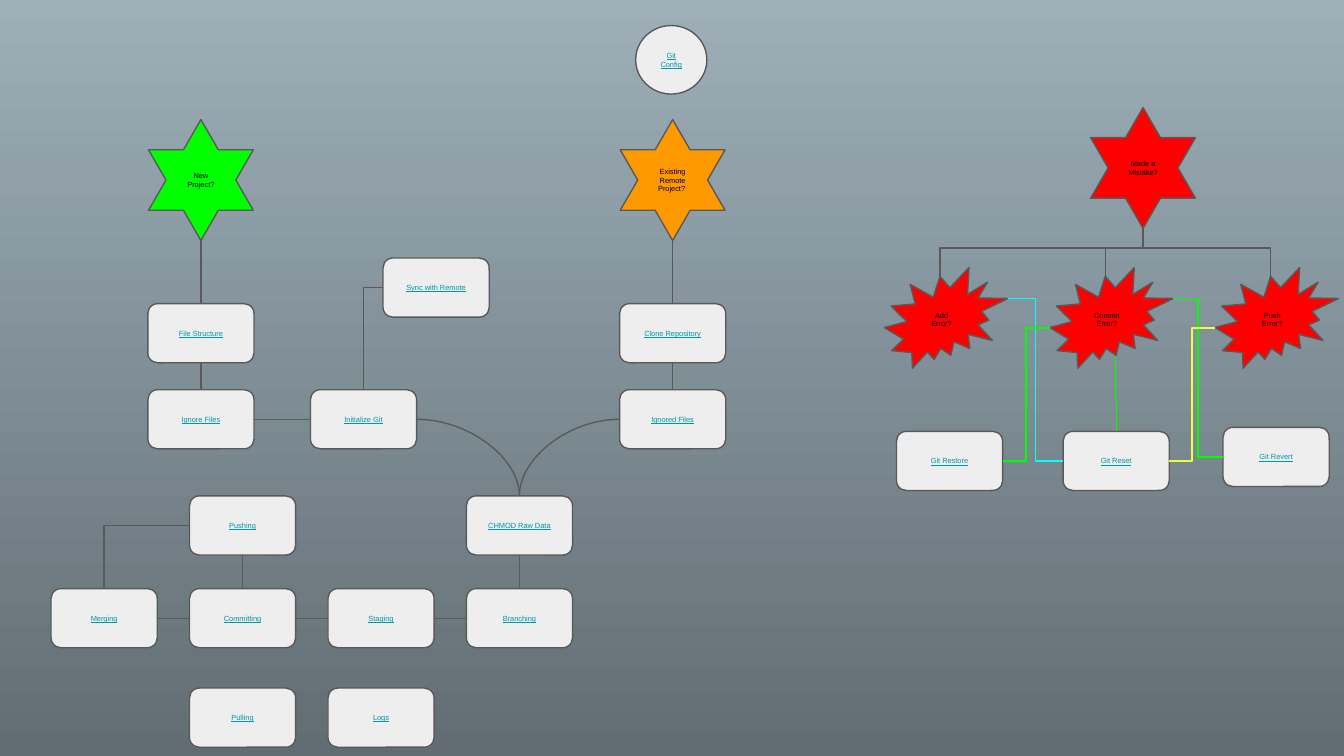
from lxml.etree import SubElement
from pptx import Presentation
from pptx.dml.color import RGBColor
from pptx.enum.shapes import MSO_CONNECTOR, MSO_SHAPE as SHAPE
from pptx.enum.text import MSO_ANCHOR, PP_ALIGN
from pptx.oxml.ns import qn
from pptx.util import Inches, Pt

BOX_W, BOX_H, STAR_W, STAR_H = 0.79, 0.44, 0.78, 0.9
GRAY, PALE, TEAL, BLACK = "595959", "EEEEEE", "0097A7", "000000"
GREEN, ORANGE, RED, YELLOW, CYAN = "00FF00", "FF9900", "FF0000", "EEFF41", "00FFFF"


def rgb(value):
    """Turn a hex string into a colour."""
    return RGBColor.from_string(value)


def node(slide, kind, box, label, fill=PALE, color=BLACK, underline=False):
    """Draw one labelled shape and return its box."""
    shape = slide.shapes.add_shape(kind, *map(Inches, box))
    shape.shadow.inherit = False
    shape.fill.solid()
    shape.fill.fore_color.rgb = rgb(fill)
    shape.line.color.rgb = rgb(GRAY)
    shape.line.width = Pt(0.75)
    frame = shape.text_frame
    frame.word_wrap = True
    frame.vertical_anchor = MSO_ANCHOR.MIDDLE
    frame.margin_left = frame.margin_right = Inches(0.1)
    frame.margin_top = frame.margin_bottom = Inches(0.1)
    paragraph = frame.paragraphs[0]
    paragraph.alignment = PP_ALIGN.CENTER
    run = paragraph.add_run()
    run.text = label
    run.font.name, run.font.size = "Arial", Pt(4)
    run.font.color.rgb = rgb(color)
    if underline:
        run.font.underline = True
    return box


def step(slide, left, top, label):
    """Draw a rounded step box."""
    return node(slide, SHAPE.ROUNDED_RECTANGLE, (left, top, BOX_W, BOX_H),
                label, color=TEAL, underline=True)


def star(slide, left, top, label, fill):
    """Draw a six-pointed question star, centred over a step box."""
    inset = (BOX_W - STAR_W) / 2
    return node(slide, SHAPE.STAR_6_POINT, (left + inset, top, STAR_W, STAR_H),
                label, fill)


def at(box, across, down):
    """Return the point at the given fractions of a box."""
    left, top, width, height = box
    return left + across * width, top + down * height


def top_of(box):
    """Return the middle of the top edge."""
    return at(box, 0.5, 0)


def bottom_of(box):
    """Return the middle of the bottom edge."""
    return at(box, 0.5, 1)


def left_of(box):
    """Return the middle of the left edge."""
    return at(box, 0, 0.5)


def right_of(box):
    """Return the middle of the right edge."""
    return at(box, 1, 0.5)


def link(slide, start, end, preset="line", color=GRAY, upright=False, bend=None):
    """Connect two points; an upright link leaves its start vertically."""
    (x1, y1), (x2, y2) = start, end
    down = y2 > y1
    if upright:
        mid_x, mid_y = (x1 + x2) / 2, (y1 + y2) / 2
        half_w = abs(y2 - y1) / 2
        half_h = (x1 - x2 if down else x2 - x1) / 2
        x1, x2 = mid_x - half_w, mid_x + half_w
        y1, y2 = mid_y - half_h, mid_y + half_h
    connector = slide.shapes.add_connector(
        MSO_CONNECTOR.STRAIGHT, *map(Inches, (x1, y1, x2, y2)))
    connector.line.color.rgb = rgb(color)
    connector.line.width = Pt(0.75)
    properties = connector.element.spPr
    SubElement(properties, qn("a:effectLst"))
    if upright:
        properties.find(qn("a:xfrm")).set("rot", str((90 if down else 270) * 60000))
    geometry = properties.find(qn("a:prstGeom"))
    geometry.set("prst", preset)
    if bend is not None:
        SubElement(geometry.find(qn("a:avLst")), qn("a:gd"),
                   name="adj1", fmla=f"val {round(bend * 100000)}")


def question_column(slide, left, top, question, fill, first, second):
    """Draw a star with two steps below it; return the last step."""
    asked = star(slide, left, top, question, fill)
    upper = step(slide, left, top + 1.37, first)
    lower = step(slide, left, top + 2.01, second)
    link(slide, bottom_of(asked), top_of(upper))
    link(slide, bottom_of(upper), top_of(lower))
    return lower


def new_project(slide, left, top):
    """Draw the new-project branch; return its initialize step."""
    ignore = question_column(slide, left, top, "New Project?", GREEN,
                             "File Structure", "Ignore Files")
    initialize = step(slide, left + 1.21, top + 2.01, "Initialize Git")
    sync = step(slide, left + 1.75, top + 1.03, "Sync with Remote")
    link(slide, right_of(ignore), left_of(initialize))
    link(slide, top_of(initialize), left_of(sync), "bentConnector2", upright=True)
    return initialize


def remote_project(slide, left, top):
    """Draw the configuration circle and remote branch; return its last step."""
    node(slide, SHAPE.OVAL, (left + 0.12, top - 0.7, 0.53, 0.51), "Git Config",
         color=TEAL, underline=True)
    return question_column(slide, left, top, "Existing Remote Project? ", ORANGE,
                           "Clone Repository", "Ignored Files")


def daily_work(slide, left, top):
    """Draw the grid of everyday steps; return its entry step."""
    columns = [left + 1.03 * i for i in range(4)]
    row = [step(slide, x, top + 0.69, label) for x, label in
           zip(columns, ("Merging", "Committing", "Staging", "Branching"))]
    for previous, following in zip(row, row[1:]):
        link(slide, left_of(following), right_of(previous))
    merging, committing, _, branching = row
    pushing = step(slide, columns[1], top, "Pushing")
    raw_data = step(slide, columns[3], top, "CHMOD Raw Data")
    step(slide, columns[1], top + 1.43, "Pulling")
    step(slide, columns[2], top + 1.43, "Logs")
    link(slide, bottom_of(raw_data), top_of(branching))
    link(slide, top_of(committing), bottom_of(pushing))
    link(slide, top_of(merging), left_of(pushing), "bentConnector2", upright=True)
    return raw_data


def mistakes(slide, left, top):
    """Draw the error questions and the commands that repair them."""
    asked = star(slide, left + 1.53, top, "Made a Mistake?", RED)
    errors = [node(slide, SHAPE.EXPLOSION2, (left + 1.23 * i, top + 1.19, 0.92, 0.75),
                   f"{name} Error?", RED)
              for i, name in enumerate(("Add", "Commit", "Push"))]
    for error in errors:
        link(slide, bottom_of(asked), at(error, 0.45, 0.09), "bentConnector3",
             upright=True, bend=0.41)
    restore = step(slide, left + 0.09, top + 2.41, "Git Restore")
    reset = step(slide, left + 1.33, top + 2.41, "Git Reset")
    revert = step(slide, left + 2.52, top + 2.38, "Git Revert")
    add, commit, push = errors
    link(slide, at(commit, 0.53, 0.88), top_of(reset), "bentConnector3", GREEN,
         upright=True, bend=0.59)
    for start, end, color in (
            (at(commit, 1, 0.31), left_of(revert), GREEN),
            (at(push, 0, 0.6), right_of(reset), YELLOW),
            (at(add, 1, 0.31), left_of(reset), CYAN),
            (at(commit, 0, 0.6), right_of(restore), GREEN)):
        link(slide, start, end, "bentConnector3", color, bend=0.5)


def workflow_slide(deck):
    """Draw the whole workflow on a graded background."""
    slide = deck.slides.add_slide(deck.slide_layouts[6])
    backdrop = slide.background.fill
    backdrop.gradient()
    backdrop.gradient_angle = 270
    for stop, position, color in zip(backdrop.gradient_stops, (0, 1),
                                     ("9EAFB8", "616D73")):
        stop.position = position
        stop.color.rgb = rgb(color)
    initialize = new_project(slide, 1.1, 0.89)
    ignored = remote_project(slide, 4.61, 0.89)
    raw_data = daily_work(slide, 0.38, 3.69)
    for start in (right_of(initialize), left_of(ignored)):
        link(slide, start, top_of(raw_data), "curvedConnector2")
    mistakes(slide, 6.58, 0.8)


deck = Presentation()
deck.slide_width = Inches(10)
deck.slide_height = deck.slide_width * 9 // 16
workflow_slide(deck)
deck.save("out.pptx")
